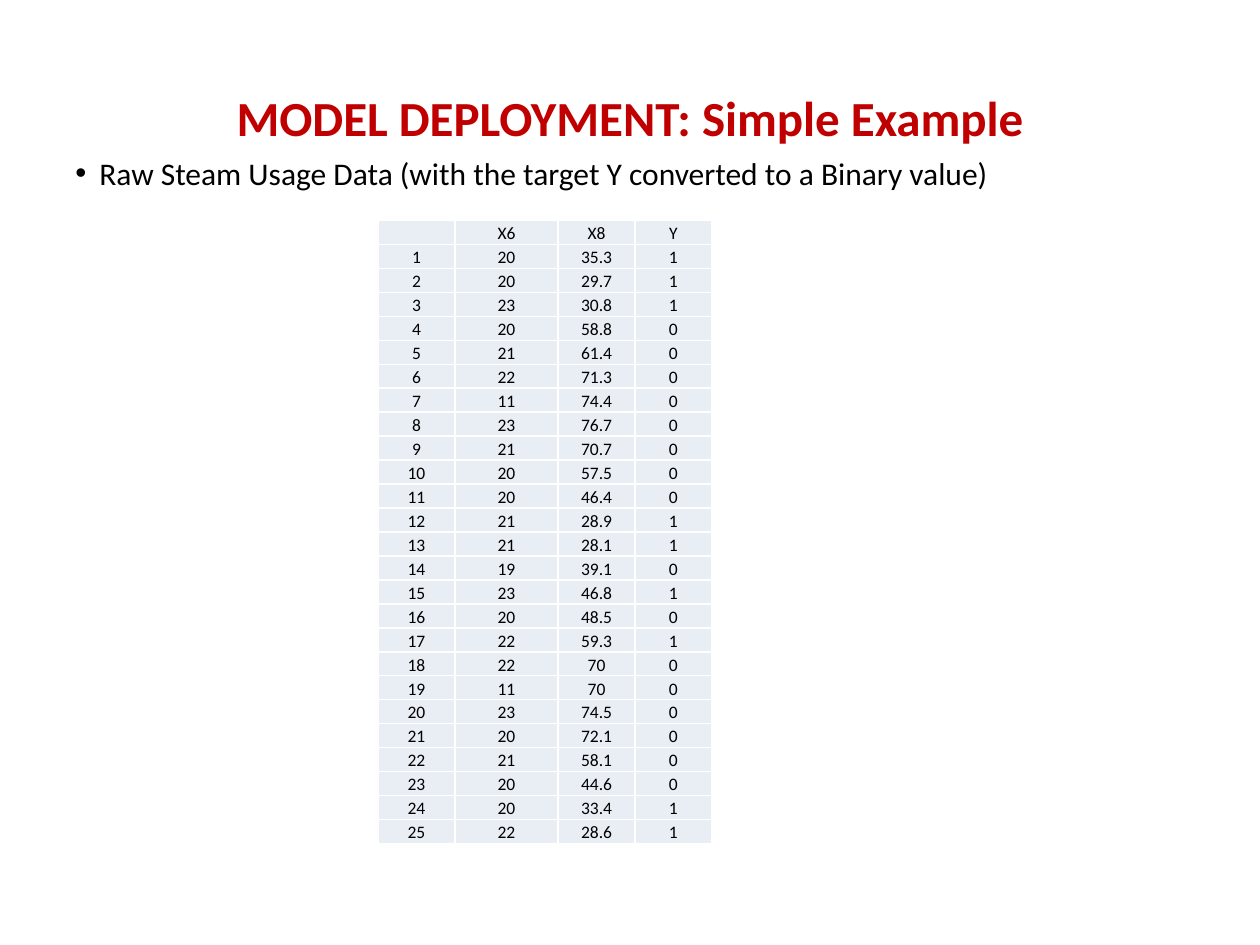
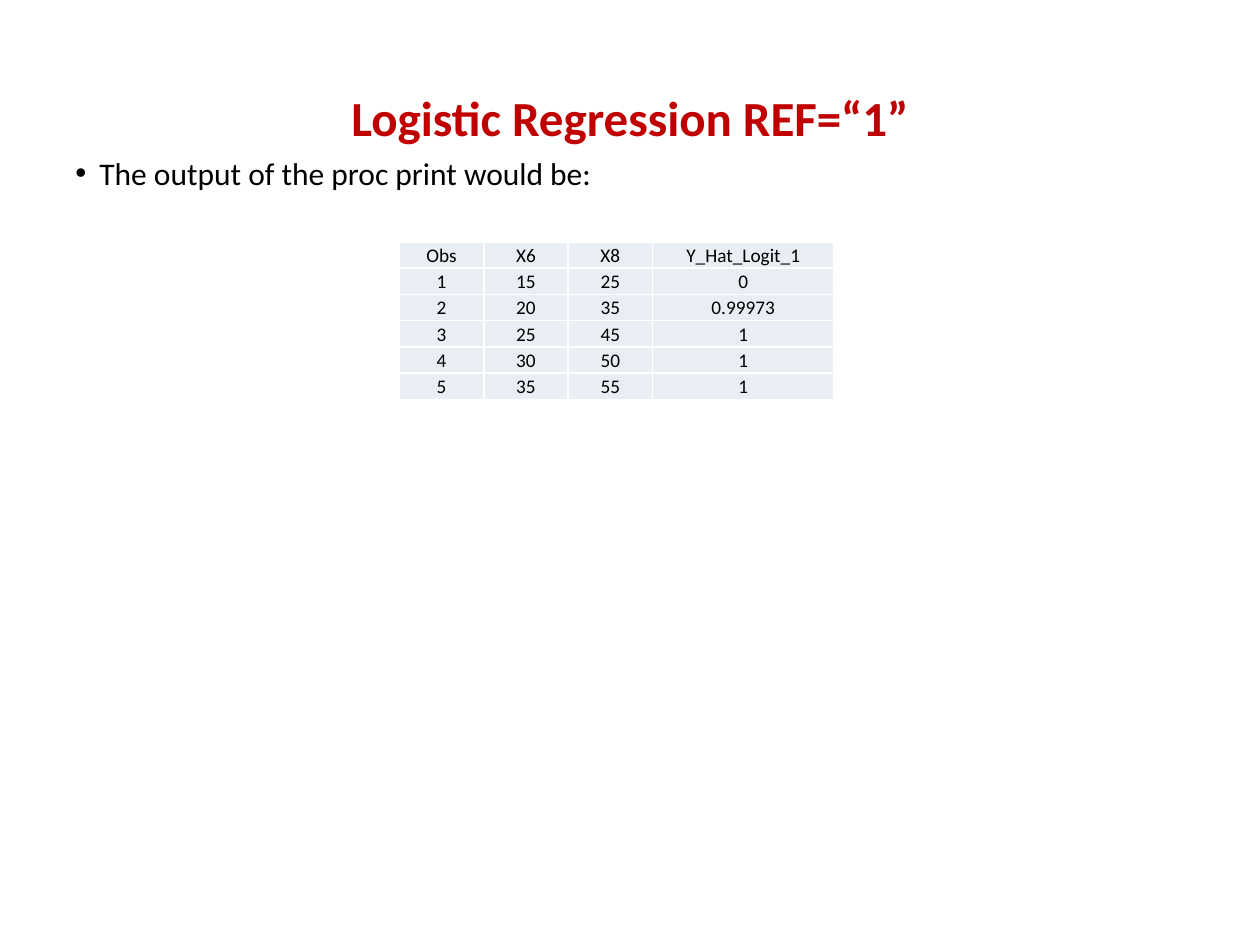
from lxml import etree
from pptx import Presentation
from pptx.dml.color import RGBColor
from pptx.enum.text import MSO_ANCHOR, MSO_AUTO_SIZE, PP_ALIGN
from pptx.oxml.ns import qn
from pptx.util import Inches, Pt

MIDDLE, BOTTOM = MSO_ANCHOR.MIDDLE, MSO_ANCHOR.BOTTOM
CENTER = PP_ALIGN.CENTER
GROW = MSO_AUTO_SIZE.SHAPE_TO_FIT_TEXT

FONT = "Calibri"
RED = RGBColor(0xC0, 0x00, 0x00)
BLACK = RGBColor(0x00, 0x00, 0x00)
WHITE = RGBColor(0xFF, 0xFF, 0xFF)
PALE_BLUE = RGBColor(0xE9, 0xED, 0xF4)

TITLE_BOX = (0.5, 0.3, 9, 1.25)
LEAD_BOX = (0.5, 1.17, 9, 0.4)
INDENT = Inches(0.19)
TITLE_ONLY = 5

STEAM_X6 = [20, 20, 23, 20, 21, 22, 11, 23, 21, 20, 20, 21, 21,
            19, 23, 20, 22, 22, 11, 23, 20, 21, 20, 20, 22]
STEAM_X8 = [35.3, 29.7, 30.8, 58.8, 61.4, 71.3, 74.4, 76.7, 70.7, 57.5, 46.4, 28.9, 28.1,
            39.1, 46.8, 48.5, 59.3, 70, 70, 74.5, 72.1, 58.1, 44.6, 33.4, 28.6]
STEAM_Y = [1, 1, 1, 0, 0, 0, 0, 0, 0, 0, 0, 1, 1,
           0, 1, 0, 1, 0, 0, 0, 0, 0, 0, 1, 1]
STEAM_ROWS = [("", "X6", "X8", "Y"),
              *zip(range(1, 26), STEAM_X6, STEAM_X8, STEAM_Y)]
SCORED_ROWS = [
    ("Obs", "X6", "X8", "Y_Hat_Logit_1"),
    (1, 15, 25, 0),
    (2, 20, 35, 0.99973),
    (3, 25, 45, 1),
    (4, 30, 50, 1),
    (5, 35, 55, 1),
]


def add_run(paragraph, text, size, color=BLACK, bold=False):
    run = paragraph.add_run()
    run.text = text
    run.font.name = FONT
    run.font.size = Pt(size)
    run.font.bold = bold
    run.font.color.rgb = color


def add_title(slide, text, box):
    title = slide.shapes.title
    title.left, title.top, title.width, title.height = map(Inches, box)
    title.text_frame.vertical_anchor = MIDDLE
    paragraph = title.text_frame.paragraphs[0]
    paragraph.alignment = CENTER
    add_run(paragraph, text, 28, RED, bold=True)


def add_lead(slide, text, box):
    frame = slide.shapes.add_textbox(*map(Inches, box)).text_frame
    frame.word_wrap = True
    frame.auto_size = GROW
    paragraph = frame.paragraphs[0]
    add_run(paragraph, text, 18)
    properties = paragraph._p.get_or_add_pPr()
    properties.set("marL", str(INDENT))
    properties.set("indent", str(-INDENT))
    etree.SubElement(properties, qn("a:buFont"), typeface="Arial")
    etree.SubElement(properties, qn("a:buChar"), char="•")


def add_borders(cell):
    properties = cell._tc.get_or_add_tcPr()
    for side in ("a:lnL", "a:lnR", "a:lnT", "a:lnB"):
        line = etree.SubElement(properties, qn(side), w=str(Pt(1)))
        fill = etree.SubElement(line, qn("a:solidFill"))
        etree.SubElement(fill, qn("a:srgbClr"), val=str(WHITE))


def fill_cell(cell, value, size, anchor):
    add_borders(cell)
    cell.fill.solid()
    cell.fill.fore_color.rgb = PALE_BLUE
    cell.margin_left = cell.margin_right = cell.margin_top = Inches(0.01)
    cell.margin_bottom = 0
    cell.vertical_anchor = anchor
    paragraph = cell.text_frame.paragraphs[0]
    paragraph.alignment = CENTER
    if value == "":
        etree.SubElement(paragraph._p, qn("a:endParaRPr"), sz=str(size * 100))
    else:
        add_run(paragraph, str(value), size)


def add_data_table(slide, rows, box, column_widths, size, anchor):
    left, top, width, height = map(Inches, box)
    table = slide.shapes.add_table(
        len(rows), len(column_widths), left, top, width, height).table
    table.first_row = table.horz_banding = False
    for column, column_width in zip(table.columns, column_widths):
        column.width = Inches(column_width)
    for table_row, values in zip(table.rows, rows):
        table_row.height = height // len(rows)
        for cell, value in zip(table_row.cells, values):
            fill_cell(cell, value, size, anchor)


def add_data_slide(deck, title, lead, rows, box, column_widths, size, anchor):
    slide = deck.slides.add_slide(deck.slide_layouts[TITLE_ONLY])
    add_title(slide, title, TITLE_BOX)
    add_lead(slide, lead, LEAD_BOX)
    add_data_table(slide, rows, box, column_widths, size, anchor)


def main():
    deck = Presentation()
    deck.slide_width, deck.slide_height = Inches(10), Inches(7.5)
    add_data_slide(
        deck, "MODEL DEPLOYMENT: Simple Example",
        "Raw Steam Usage Data (with the target Y converted to a Binary value)",
        STEAM_ROWS, (3, 1.75, 2.65, 4.95), (0.61, 0.82, 0.61, 0.61), 10, BOTTOM)
    add_data_slide(
        deck, "Logistic Regression REF=“1”",
        "The output of the proc print would be:",
        SCORED_ROWS, (3.17, 1.92, 3.44, 1.25), (0.67, 0.67, 0.67, 1.44), 11, MIDDLE)
    deck.save("out.pptx")


if __name__ == "__main__":
    main()
